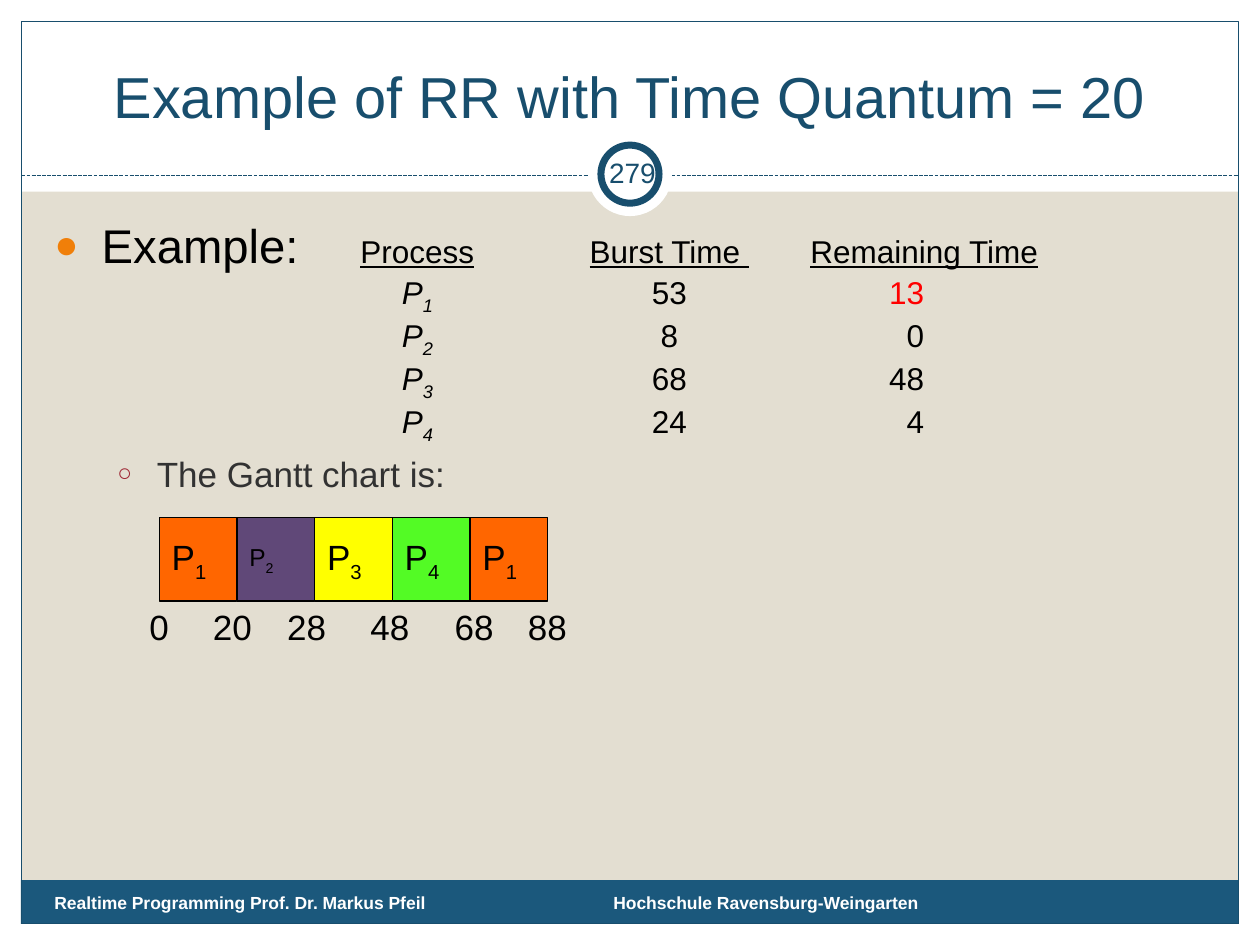
from dataclasses import dataclass
from typing import Optional

from lxml.etree import SubElement
from pptx import Presentation
from pptx.dml.color import RGBColor
from pptx.enum.dml import MSO_LINE
from pptx.enum.shapes import MSO_CONNECTOR, MSO_SHAPE
from pptx.enum.text import MSO_ANCHOR, PP_ALIGN
from pptx.oxml.ns import qn
from pptx.util import Pt

FONT = "Arial"
NAVY, FOOTER_BLUE, WHITE, BLACK = "184E6D", "1B587C", "FFFFFF", "000000"
TABLE_TABS = ((207.4, "ctr"), (351.4, "ctr"), (432, "l"), (497, "r"))


@dataclass(frozen=True)
class TextRun:
    """A stretch of text with one format."""
    text: str
    size: float = 18
    color: str = BLACK
    bold: bool = False
    italic: bool = False
    underline: bool = False
    subscript: bool = False


@dataclass(frozen=True)
class Bullet:
    """A bullet character with its colour and relative size."""
    character: str
    color: str
    percent: int


@dataclass(frozen=True)
class ProcessRow:
    """One process with its burst and remaining time."""
    number: str
    burst: str
    remaining: str
    remaining_color: str = BLACK


@dataclass(frozen=True)
class GanttSlot:
    """One slot of the Gantt chart, with its end time and label centre."""
    number: str
    fill: str
    end: str
    label_center: float
    size: float = 20


PROCESSES = (
    ProcessRow("1", "53", "13", "FF0000"),
    ProcessRow("2", "8", "0"),
    ProcessRow("3", "68", "48"),
    ProcessRow("4", "24", "4"),
)
SLOTS = (
    GanttSlot("1", "FF6600", "20", 132.8),
    GanttSlot("2", "604878", "28", 175.3, 14),
    GanttSlot("3", "FFFF00", "48", 222.8),
    GanttSlot("4", "53FB25", "68", 271),
    GanttSlot("1", "FF6600", "88", 312.8),
)


def color_of(value: str) -> RGBColor:
    """Turn a hex string into a colour."""
    return RGBColor.from_string(value)


def add_runs(paragraph, *runs: TextRun) -> None:
    """Append formatted runs to a paragraph."""
    for item in runs:
        run = paragraph.add_run()
        run.text = item.text
        font = run.font
        font.name, font.size = FONT, Pt(item.size)
        font.color.rgb = color_of(item.color)
        font.bold, font.italic, font.underline = item.bold, item.italic, item.underline
        if item.subscript:
            run._r.get_or_add_rPr().set("baseline", "-25000")


def format_list(paragraph, margin: float, indent: float, bullet: Bullet, tabs=()) -> None:
    """Set the indents, bullet and tab stops of a paragraph."""
    properties = paragraph._p.get_or_add_pPr()
    properties.set("marL", str(Pt(margin)))
    properties.set("indent", str(Pt(indent)))
    color = SubElement(properties, qn("a:buClr"))
    SubElement(color, qn("a:srgbClr"), val=bullet.color)
    SubElement(properties, qn("a:buSzPct"), val=str(bullet.percent * 1000))
    SubElement(properties, qn("a:buFont"), typeface=FONT)
    SubElement(properties, qn("a:buChar"), char=bullet.character)
    if tabs:
        stops = SubElement(properties, qn("a:tabLst"))
        for position, alignment in tabs:
            SubElement(stops, qn("a:tab"), pos=str(Pt(position)), algn=alignment)


def add_box(slide, kind, left: float, top: float, width: float, height: float,
            fill: Optional[str] = None, line: Optional[str] = None, weight: float = 0.75):
    """Draw a preset shape without shadow."""
    shape = slide.shapes.add_shape(kind, Pt(left), Pt(top), Pt(width), Pt(height))
    shape.shadow.inherit = False
    if fill:
        shape.fill.solid()
        shape.fill.fore_color.rgb = color_of(fill)
    else:
        shape.fill.background()
    if line:
        shape.line.color.rgb = color_of(line)
        shape.line.width = Pt(weight)
    else:
        shape.line.fill.background()
    return shape


def add_text(slide, left: float, top: float, width: float, height: float, *runs: TextRun,
             align=PP_ALIGN.LEFT, anchor=MSO_ANCHOR.TOP, side_inset: float = 7.2):
    """Add a wrapping text box and return its text frame."""
    frame = slide.shapes.add_textbox(Pt(left), Pt(top), Pt(width), Pt(height)).text_frame
    frame.word_wrap, frame.vertical_anchor = True, anchor
    frame.margin_left = frame.margin_right = Pt(side_inset)
    frame.paragraphs[0].alignment = align
    add_runs(frame.paragraphs[0], *runs)
    return frame


def add_frame(slide) -> None:
    """Draw the white margins, footer bar, border, divider and number ring."""
    for band in ((0, 528, 720, 12), (0, 0, 720, 109.5), (0, 0, 12, 540), (708, 0, 12, 540)):
        add_box(slide, MSO_SHAPE.RECTANGLE, *band, fill=WHITE)
    add_box(slide, MSO_SHAPE.RECTANGLE, 12, 503, 696, 25, fill=FOOTER_BLUE)
    add_box(slide, MSO_SHAPE.RECTANGLE, 12.24, 12.24, 695.52, 515.52, line=NAVY)
    divider = slide.shapes.add_connector(
        MSO_CONNECTOR.STRAIGHT, Pt(12.24), Pt(100.5), Pt(707.76), Pt(100.5))
    divider.line.color.rgb = color_of(NAVY)
    divider.line.width = Pt(0.75)
    divider.line.dash_style = MSO_LINE.SQUARE_DOT
    SubElement(divider._element.spPr, qn("a:effectLst"))
    add_box(slide, MSO_SHAPE.OVAL, 336, 75.5, 48, 48, fill=WHITE)
    add_box(slide, MSO_SHAPE.OVAL, 343.4, 82.9, 33.2, 33.2, WHITE, NAVY, 4)


def add_body(slide) -> None:
    """Write the process overview and the Gantt heading."""
    frame = add_text(slide, 24, 120.2, 669.6, 360)
    overview = frame.paragraphs[0]
    format_list(overview, 27, -27, Bullet("●", "F07F09", 85), TABLE_TABS)
    add_runs(overview, TextRun("Example:", 27))
    for title in ("Process", "Burst Time ", "Remaining Time"):
        add_runs(overview, TextRun("\t"), TextRun(title, underline=True))
    for process in PROCESSES:
        overview.add_line_break()
        add_runs(overview, TextRun("\t"), TextRun("P", italic=True),
                 TextRun(process.number, italic=True, subscript=True),
                 TextRun(f"\t{process.burst}\t\t"),
                 TextRun(process.remaining, color=process.remaining_color))
    heading = frame.add_paragraph()
    format_list(heading, 58.5, -22.5, Bullet("○", "9F2936", 70))
    heading.space_before = Pt(4)
    add_runs(heading, TextRun("The Gantt chart is:", 20, "323232"))


def add_time(slide, center: float, time: str) -> None:
    """Write a time below the Gantt chart, centred on a position."""
    add_text(slide, center - 18, 344.2, 36, 27.4, TextRun(time, 20),
             align=PP_ALIGN.CENTER, anchor=MSO_ANCHOR.MIDDLE, side_inset=0)


def add_gantt(slide) -> None:
    """Draw the Gantt slots and their times."""
    left, width = 91, 44.4
    add_time(slide, left, "0")
    for index, slot in enumerate(SLOTS):
        box = add_box(slide, MSO_SHAPE.RECTANGLE, left + index * width, 295.5,
                      width, 48, slot.fill, BLACK)
        box.text_frame.vertical_anchor = MSO_ANCHOR.MIDDLE
        paragraph = box.text_frame.paragraphs[0]
        paragraph.alignment = PP_ALIGN.LEFT
        add_runs(paragraph, TextRun("P", slot.size),
                 TextRun(slot.number, slot.size, subscript=True))
        add_time(slide, slot.label_center, slot.end)


def main() -> None:
    """Build and save the slide."""
    presentation = Presentation()
    presentation.slide_width, presentation.slide_height = Pt(720), Pt(540)
    slide = presentation.slides.add_slide(presentation.slide_layouts[6])
    slide.background.fill.solid()
    slide.background.fill.fore_color.rgb = color_of("E3DED1")
    add_frame(slide)
    add_text(slide, 24, 18, 671.5, 60, TextRun("Example of RR with Time Quantum = 20", 33, NAVY),
             align=PP_ALIGN.CENTER, anchor=MSO_ANCHOR.BOTTOM)
    add_body(slide)
    add_gantt(slide)
    for left, width, text in ((24, 282, "Realtime Programming Prof. Dr. Markus Pfeil"),
                              (343.4, 237, "Hochschule Ravensburg-Weingarten")):
        add_text(slide, left, 506, width, 19.4, TextRun(text, 10, WHITE, bold=True))
    add_text(slide, 343.4, 81, 36, 34.6, TextRun("279", 16, NAVY),
             align=PP_ALIGN.CENTER, anchor=MSO_ANCHOR.MIDDLE, side_inset=3.6)
    presentation.save("out.pptx")


if __name__ == "__main__":
    main()
